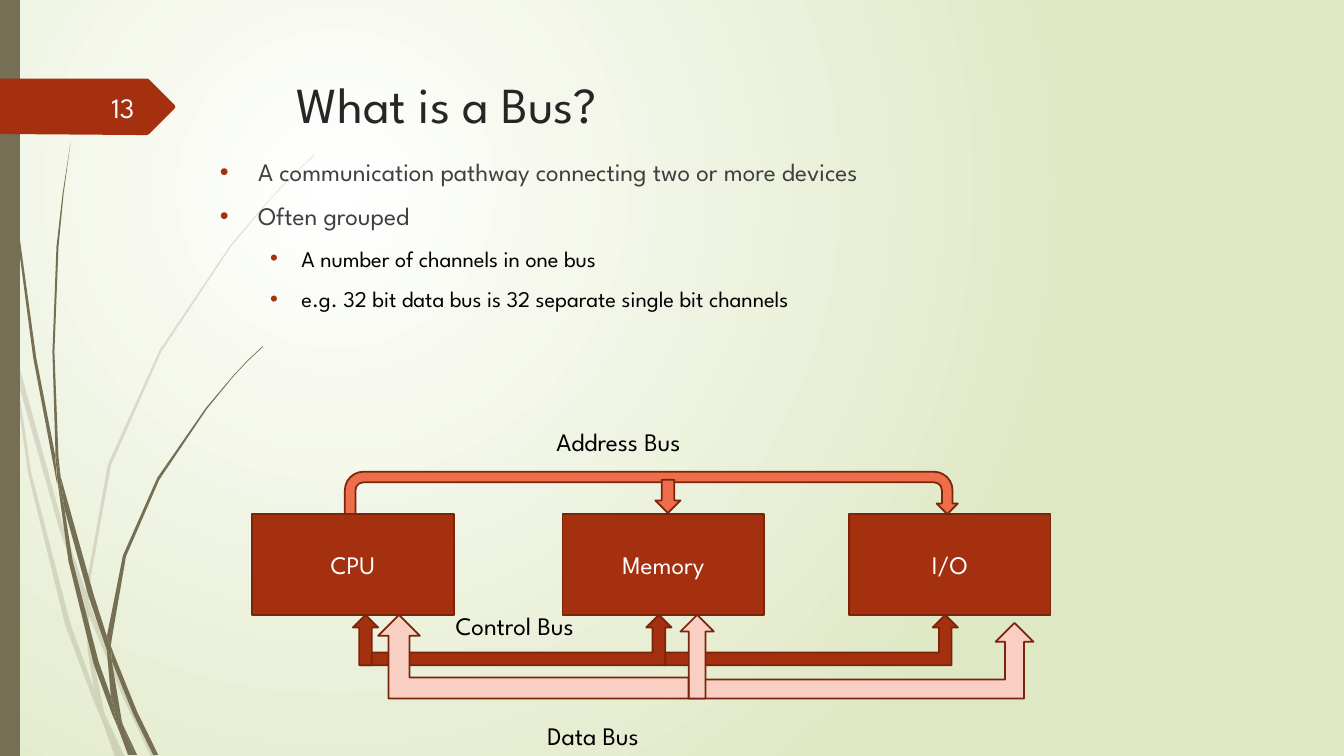
from dataclasses import dataclass

from lxml import etree
from pptx import Presentation
from pptx import util as u
from pptx.dml import color as dml
from pptx.enum import shapes as es, text as et
from pptx.oxml import ns

FONT = "League Spartan"
COLORS = {
    "glow": "FFFFFF", "meadow": "DFE8C4", "stem": "766F54", "rust": "A53010",
    "edge": "7A240C", "coral": "EE6E4B", "blush": "F9CFC3", "title": "262626",
    "body": "404040", "black": "000000", "white": "FFFFFF", "number": "FEFFFF",
}

# Outlines are x,y pairs in hundredths of an inch.
PALE_STEMS = [
    "11,350 9,322 0,282 0,299 10,344",
    "58,522 84,599 85,586 62,520 14,345 17,376",
    "92,607 88,596 88,610 123,694 150,751 155,751 127,692",
    "119,751 124,751 105,711",
    "93,683 70,619 31,469 17,376 11,350 28,470 65,621 92,693 101,714 99,707",
    "84,599 87,646 93,683 96,692 105,711 103,706 91,646 88,610 88,608",
    "88,584 110,462 160,349 229,245 268,198 290,175 312,154 312,153 289,175 "
    "268,197 228,244 158,348 107,461 85,584 85,586 88,596",
    "101,714 114,751 119,751",
    "88,608 88,610 88,596 85,586 84,599",
    "96,692 93,683 99,707 101,714 119,751 105,711",
]
DARK_STEMS = [
    "7,110 17,233 33,355 56,477 57,481 55,457 55,453 36,355 19,232 8,109 5,48 "
    "4,0 3,0 4,48",
    "88,592 106,645 106,633 106,631 93,590 60,472 64,505",
    "113,649 110,641 111,656 132,708 152,749 157,749 136,706",
    "110,691 98,657 72,556 64,505 57,477 68,557 93,659 111,708 117,722 116,717",
    "60,472 58,453 54,349 58,245 63,193 70,141 62,193 56,245 52,349 55,449",
    "133,749 136,749 122,719",
    "57,477 64,505 60,472 55,449 55,453",
    "111,633 125,552 158,476 205,406 231,374 245,359 261,344 260,344 245,358 "
    "231,373 204,405 156,474 122,551 106,631 110,641",
    "117,722 127,749 131,749",
    "106,645 110,691 116,706 122,719 121,716 111,656 109,651",
    "106,645 109,651 111,656 110,641 106,631 106,633",
    "116,706 110,691 116,717 117,722 130,749 133,749 122,719",
]
PAGE_TAB = "173,108 148,133 146,134 136,134 0,133 0,78 136,78 146,78 148,79 173,104 174,106"


@dataclass
class Block:
    kind: es.MSO_SHAPE
    left: float
    top: float
    width: float
    height: float
    fill: str
    caption: str = ""
    adjustments: tuple[float, ...] = ()
    mirrored: bool = False


@dataclass
class Label:
    caption: str
    left: float
    top: float
    width: float
    size: int = 18
    color: str = "black"
    align: et.PP_ALIGN = et.PP_ALIGN.LEFT
    anchor: et.MSO_ANCHOR = et.MSO_ANCHOR.TOP


@dataclass
class Bullet:
    caption: str
    size: int
    color: str
    level: int
    margin: float
    hang: float


KIND = es.MSO_SHAPE
BLOCKS = [Block(KIND.RECTANGLE, left, 5.1, 2, 1, "rust", caption)
          for left, caption in ((2.5, "CPU"), (5.58, "Memory"), (8.42, "I/O"))]
ADDRESS_ARROWS = [
    Block(KIND.U_TURN_ARROW, 3.42, 4.68, 6.08, 0.42, "coral",
          adjustments=(0.25, 0.25, 0.25, 0.438, 1)),
    Block(KIND.DOWN_ARROW, 6.5, 4.76, 0.25, 0.33, "coral"),
]
CONTROL_ARROWS = [
    Block(KIND.BENT_UP_ARROW, 6.58, 6.1, 2.92, 0.5, "rust"),
    Block(KIND.BENT_UP_ARROW, 3.58, 6.1, 3.08, 0.5, "rust"),
    Block(KIND.UP_ARROW, 3.5, 6.1, 0.25, 0.5, "rust"),
]
DATA_ARROWS = [
    Block(KIND.BENT_UP_ARROW, 6.83, 6.18, 3.42, 0.75, "blush"),
    Block(KIND.UP_ARROW, 6.75, 6.1, 0.33, 0.83, "blush"),
    Block(KIND.BENT_UP_ARROW, 3.75, 6.1, 3.08, 0.83, "blush", mirrored=True),
]
LABELS = [
    Label("13", 0.58, 0.86, 0.85, 20, "number", et.PP_ALIGN.RIGHT, et.MSO_ANCHOR.MIDDLE),
    Label("Address Bus", 5.42, 4.18, 2.58),
    Label("Control Bus", 4.42, 6.01, 2.83),
    Label("Data Bus", 5.33, 7.1, 2.83),
]
BULLETS = [
    Bullet("A communication pathway connecting two or more devices", 18, "body", 0, 0.38, 0.38),
    Bullet("Often grouped", 18, "body", 0, 0.38, 0.38),
    Bullet("A number of channels in one bus", 16, "black", 1, 0.81, 0.31),
    Bullet("e.g. 32 bit data bus is 32 separate single bit channels", 16, "black", 1, 0.81, 0.31),
]


def rgb(name: str) -> dml.RGBColor:
    return dml.RGBColor.from_string(COLORS[name])


def paint(shape, fill: str, line: str = "") -> None:
    shape.shadow.inherit = False
    shape.fill.solid()
    shape.fill.fore_color.rgb = rgb(fill)
    if line:
        shape.line.color.rgb = rgb(line)
        shape.line.width = u.Pt(1.25)
    else:
        shape.line.fill.background()


def write(para, caption: str, size: int, color: str) -> None:
    span = para.add_run()
    span.text = caption
    span.font.name = FONT
    span.font.size = u.Pt(size)
    span.font.color.rgb = rgb(color)


def place(shape, left: float, top: float, width: float, height: float) -> None:
    shape.left, shape.top = u.Inches(left), u.Inches(top)
    shape.width, shape.height = u.Inches(width), u.Inches(height)


def set_background(page) -> None:
    """Fill the page with a round glow centred at a quarter of its size."""
    fill = page.background.fill
    fill.gradient()
    for stop, name in zip(fill.gradient_stops, ("glow", "meadow")):
        stop.color.rgb = rgb(name)
    fill.gradient_stops[0].position, fill.gradient_stops[1].position = 0, 1
    grad = page.background._cSld.find(".//" + ns.qn("a:gradFill"))
    grad.remove(grad.find(ns.qn("a:lin")))
    glow = etree.SubElement(grad, ns.qn("a:path"), path="circle")
    etree.SubElement(glow, ns.qn("a:fillToRect"), l="50000", t="50000", r="100000", b="100000")


def draw_outline(page, outline: str, fill: str, alpha: int = 100) -> None:
    start, *rest = [tuple(map(int, pair.split(","))) for pair in outline.split()]
    pen = page.shapes.build_freeform(*start, scale=u.Inches(0.01))
    pen.add_line_segments(rest, close=True)
    shape = pen.convert_to_shape()
    paint(shape, fill)
    if alpha < 100:
        tint = shape._element.spPr.find(".//" + ns.qn("a:srgbClr"))
        etree.SubElement(tint, ns.qn("a:alpha"), val=str(alpha * 1000))


def draw_block(page, block: Block) -> None:
    shape = page.shapes.add_shape(block.kind, 0, 0, 0, 0)
    place(shape, block.left, block.top, block.width, block.height)
    paint(shape, block.fill, "edge")
    for index, value in enumerate(block.adjustments):
        shape.adjustments[index] = value
    if block.mirrored:
        shape._element.spPr.xfrm.set("flipH", "1")
    if block.caption:
        shape.text_frame.vertical_anchor = et.MSO_ANCHOR.MIDDLE
        para = shape.text_frame.paragraphs[0]
        para.alignment = et.PP_ALIGN.CENTER
        write(para, block.caption, 18, "white")


def draw_label(page, label: Label) -> None:
    box = page.shapes.add_textbox(0, 0, 0, 0)
    place(box, label.left, label.top, label.width, 0.4)
    box.text_frame.word_wrap = True
    box.text_frame.vertical_anchor = label.anchor
    para = box.text_frame.paragraphs[0]
    para.alignment = label.align
    write(para, label.caption, label.size, label.color)


def prepare_placeholder(page, box) -> None:
    """Bring the placeholder to the front and pin its text to the top."""
    page.shapes._spTree.append(box._element)
    box.text_frame.word_wrap = True
    box.text_frame.auto_size = et.MSO_AUTO_SIZE.NONE
    box.text_frame.vertical_anchor = et.MSO_ANCHOR.TOP


def fill_title(page) -> None:
    box = page.shapes.title
    place(box, 2.84, 0.68, 9.75, 1.4)
    prepare_placeholder(page, box)
    para = box.text_frame.paragraphs[0]
    para.alignment = et.PP_ALIGN.LEFT
    write(para, "What is a Bus?", 36, "title")


def fill_body(page) -> None:
    box = page.placeholders[1]
    place(box, 2.08, 1.5, 9.3, 2.5)
    prepare_placeholder(page, box)
    for index, bullet in enumerate(BULLETS):
        para = box.text_frame.add_paragraph() if index else box.text_frame.paragraphs[0]
        para.level = bullet.level
        para.alignment = et.PP_ALIGN.JUSTIFY
        para.space_before = u.Pt(10 if index else 0)
        props = para._p.get_or_add_pPr()
        props.set("marL", str(u.Inches(bullet.margin)))
        props.set("indent", str(-u.Inches(bullet.hang)))
        tint = etree.SubElement(props, ns.qn("a:buClr"))
        etree.SubElement(tint, ns.qn("a:srgbClr"), val=COLORS["rust"])
        etree.SubElement(props, ns.qn("a:buFont"), typeface="Arial")
        etree.SubElement(props, ns.qn("a:buChar"), char="•")
        write(para, bullet.caption, bullet.size, bullet.color)


def main() -> None:
    deck = Presentation()
    deck.slide_width, deck.slide_height = u.Inches(13.33), u.Inches(7.5)
    page = deck.slides.add_slide(deck.slide_layouts[1])
    set_background(page)
    for outline in PALE_STEMS:
        draw_outline(page, outline, "stem", alpha=20)
    for outline in DARK_STEMS:
        draw_outline(page, outline, "stem")
    draw_outline(page, "0,0 20,0 20,750 0,750", "stem")
    draw_outline(page, PAGE_TAB, "rust")
    fill_title(page)
    fill_body(page)
    for block in BLOCKS + ADDRESS_ARROWS + CONTROL_ARROWS + DATA_ARROWS:
        draw_block(page, block)
    for label in LABELS:
        draw_label(page, label)
    deck.save("out.pptx")


if __name__ == "__main__":
    main()
